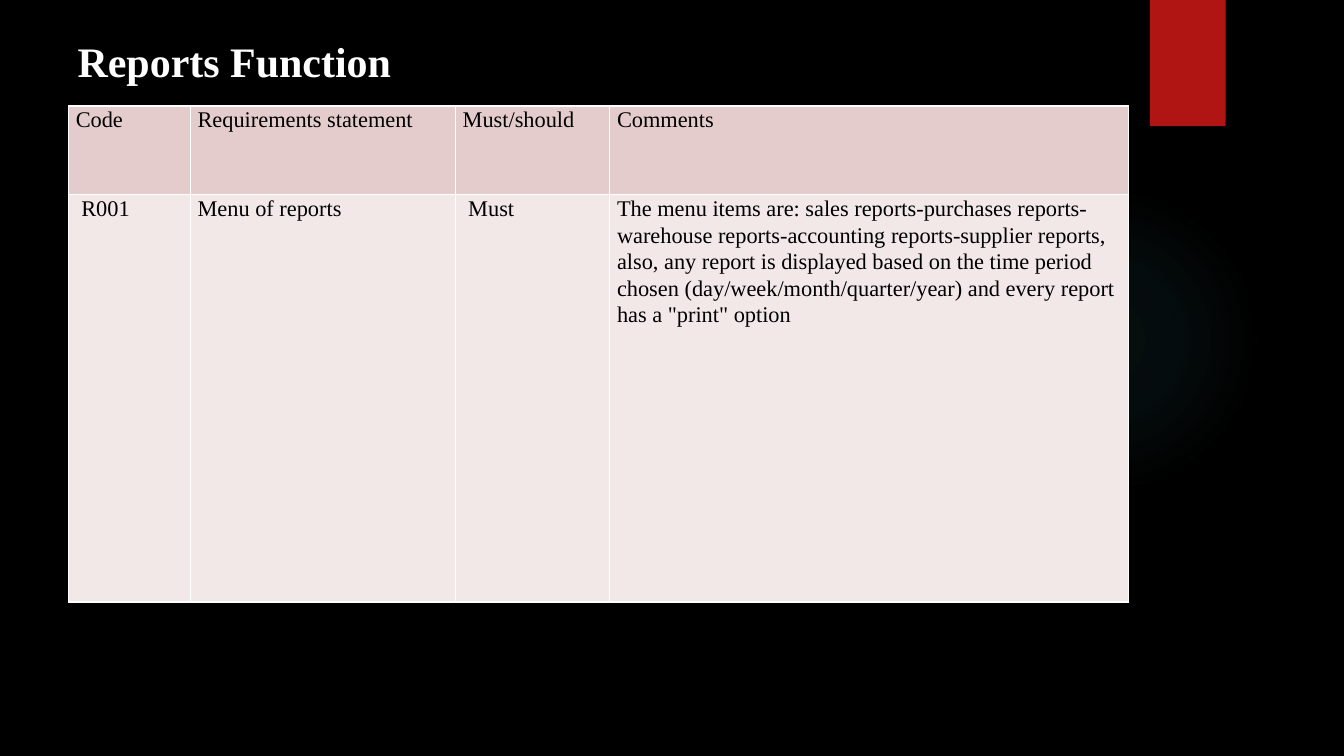
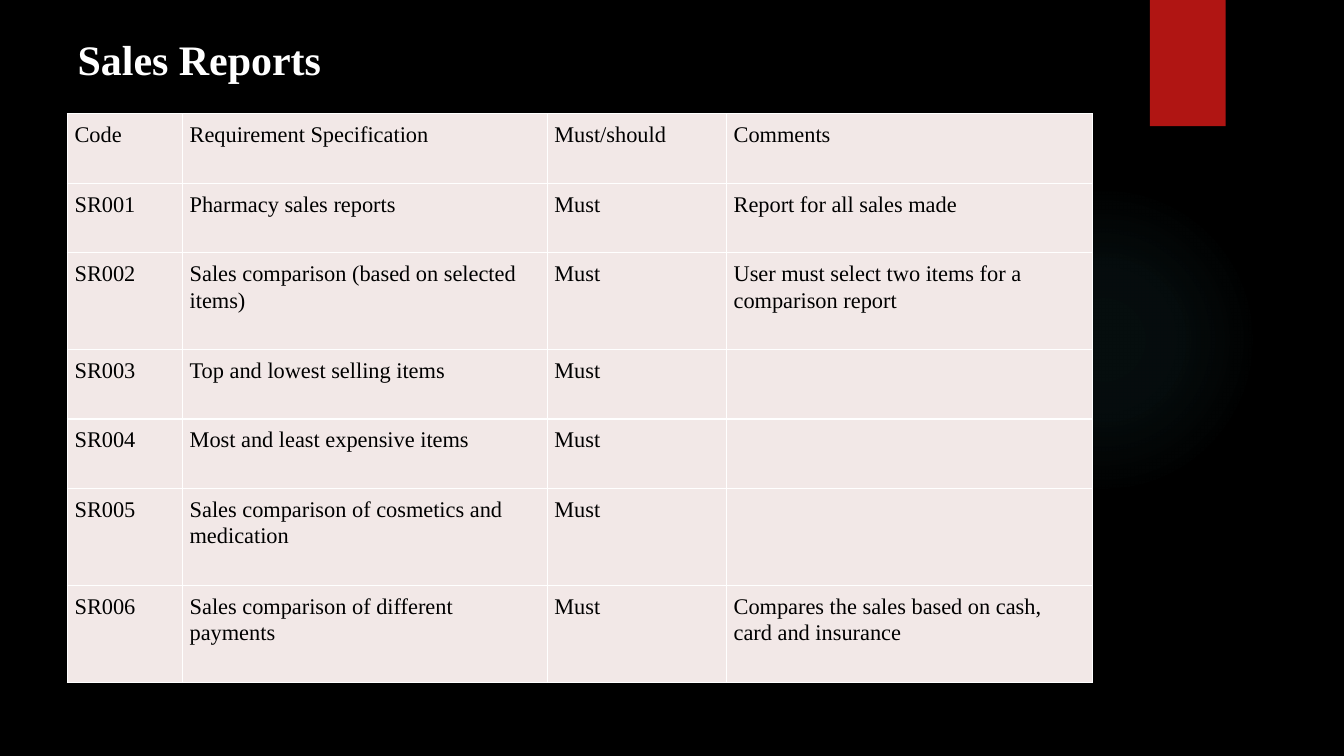
"""Build two slides of report requirements, each a title above a table."""
from pptx import Presentation
from pptx.dml.color import RGBColor
from pptx.enum.shapes import MSO_SHAPE
from pptx.enum.text import MSO_ANCHOR, MSO_AUTO_SIZE, PP_ALIGN
from pptx.oxml import parse_xml
from pptx.oxml.ns import nsdecls
from pptx.util import Cm, Pt

FONT = "Times New Roman"
BLACK, WHITE, RED, TEAL = "000000", "FFFFFF", "B01513", "50B9C1"
ROSE, PALE_ROSE = "E4CCCC", "F2E8E7"
GLOW_STOPS = [(0, 7), (36, 6), (69, 0)]
SHORT_ROW, TALL_ROW = 1.75, 2.44

SLIDES = [
    {
        "title": "Reports Function",
        "title_spacing": 1.1,
        "position": (1.73, 2.67),
        "columns": [3.07, 6.68, 3.89, 13.06],
        "heights": [2.24, 10.26],
        "header_fill": ROSE,
        "vertical_margin": 0,
        "rows": [
            ("Code", "Requirements statement", "Must/should", "Comments"),
            (" R001", "Menu of reports", " Must",
             "The menu items are: sales reports-purchases reports-warehouse "
             "reports-accounting reports-supplier reports, also, any report is "
             "displayed based on the time period chosen "
             "(day/week/month/quarter/year) and every report has a "
             "\"print\" option"),
        ],
    },
    {
        "title": "Sales Reports",
        "title_spacing": 1.07,
        "position": (1.7, 2.87),
        "columns": [2.9, 9.19, 4.52, 9.22],
        "heights": [SHORT_ROW, SHORT_ROW, TALL_ROW, SHORT_ROW, SHORT_ROW,
                    TALL_ROW, TALL_ROW],
        "header_fill": PALE_ROSE,
        "vertical_margin": 0.18,
        "rows": [
            ("Code", "Requirement Specification", "Must/should", "Comments"),
            ("SR001", "Pharmacy sales reports", "Must",
             "Report for all sales made"),
            ("SR002", "Sales comparison (based on selected items)", "Must",
             "User must select two items for a comparison report"),
            ("SR003", "Top and lowest selling items", "Must", ""),
            ("SR004", "Most and least expensive items", "Must", ""),
            ("SR005", "Sales comparison of cosmetics and medication", "Must", ""),
            ("SR006", "Sales comparison of different payments", "Must",
             "Compares the sales based on cash, card and insurance"),
        ],
    },
]


def set_fill(fill, color):
    """Make a fill solid in a hex colour."""
    fill.solid()
    fill.fore_color.rgb = RGBColor.from_string(color)


def write_text(text_frame, text, size=16, color=BLACK, bold=False, spacing=1.07):
    """Write one formatted paragraph into a text frame."""
    paragraph = text_frame.paragraphs[0]
    paragraph.alignment = PP_ALIGN.LEFT
    paragraph.line_spacing = spacing
    paragraph.space_before = Pt(0)
    paragraph.space_after = Pt(8)
    paragraph.font.size = Pt(size)
    if text:
        run = paragraph.add_run()
        run.text = text
        run.font.name = FONT
        run.font.size = Pt(size)
        run.font.bold = bold
        run.font.color.rgb = RGBColor.from_string(color)


def add_plain_shape(slide, kind, left, top, width, height):
    """Add a preset shape without line or shadow."""
    shape = slide.shapes.add_shape(kind, Cm(left), Cm(top), Cm(width), Cm(height))
    shape.shadow.inherit = False
    shape.line.fill.background()
    return shape


def decorate_layout(layout, slide):
    """Give the layout its black background, teal glow and red tab."""
    set_fill(layout.background.fill, BLACK)
    glow = add_plain_shape(slide, MSO_SHAPE.OVAL, 23.9, 4.65, 7.82, 7.82)
    stops = "".join(
        f'<a:gs pos="{position * 1000}"><a:srgbClr val="{TEAL}">'
        f'<a:alpha val="{opacity * 1000}"/></a:srgbClr></a:gs>'
        for position, opacity in GLOW_STOPS)
    glow.element.spPr.insert(2, parse_xml(
        f'<a:gradFill {nsdecls("a")}><a:gsLst>{stops}</a:gsLst>'
        '<a:path path="circle"><a:fillToRect l="50000" t="50000" r="50000" '
        'b="50000"/></a:path></a:gradFill>'))
    tab = add_plain_shape(slide, MSO_SHAPE.RECTANGLE, 28.98, 0, 1.91, 3.18)
    set_fill(tab.fill, RED)
    for index, shape in enumerate((glow, tab), start=2):
        layout.shapes.element.insert(index, shape.element)


def add_title(slide, text, spacing):
    """Place and write the slide title."""
    title = slide.shapes.title
    title.left, title.top, title.width, title.height = (
        Cm(1.7), Cm(0.64), Cm(17.53), Cm(1.57))
    title.text_frame.auto_size = MSO_AUTO_SIZE.NONE
    title.text_frame.vertical_anchor = MSO_ANCHOR.TOP
    write_text(title.text_frame, text, size=30, color=WHITE, bold=True,
               spacing=spacing)


def add_borders(cell):
    """Draw thin white lines on all four sides of a cell."""
    properties = cell._tc.get_or_add_tcPr()
    for index, side in enumerate(("lnL", "lnR", "lnT", "lnB")):
        properties.insert(index, parse_xml(
            f'<a:{side} {nsdecls("a")} w="{Pt(1)}"><a:solidFill>'
            f'<a:srgbClr val="{WHITE}"/></a:solidFill></a:{side}>'))


def add_requirements_table(slide, content):
    """Add the table of requirements."""
    rows, columns, heights = content["rows"], content["columns"], content["heights"]
    left, top = content["position"]
    table = slide.shapes.add_table(
        len(rows), len(columns), Cm(left), Cm(top),
        Cm(sum(columns)), Cm(sum(heights))).table
    table.first_row = table.horz_banding = False
    for column, width in zip(table.columns, columns):
        column.width = Cm(width)
    for row_index, (row, height) in enumerate(zip(table.rows, heights)):
        row.height = Cm(height)
        color = PALE_ROSE if row_index else content["header_fill"]
        for cell, text in zip(row.cells, rows[row_index]):
            cell.margin_left = cell.margin_right = Cm(0.18)
            cell.margin_top = cell.margin_bottom = Cm(content["vertical_margin"])
            set_fill(cell.fill, color)
            add_borders(cell)
            write_text(cell.text_frame, text)


def main():
    """Build and save the presentation."""
    presentation = Presentation()
    presentation.slide_width, presentation.slide_height = Cm(33.87), Cm(19.05)
    layout = presentation.slide_layouts[5]
    slides = [presentation.slides.add_slide(layout) for _ in SLIDES]
    decorate_layout(layout, slides[0])
    for slide, content in zip(slides, SLIDES):
        add_title(slide, content["title"], content["title_spacing"])
        add_requirements_table(slide, content)
    presentation.save("out.pptx")


main()
